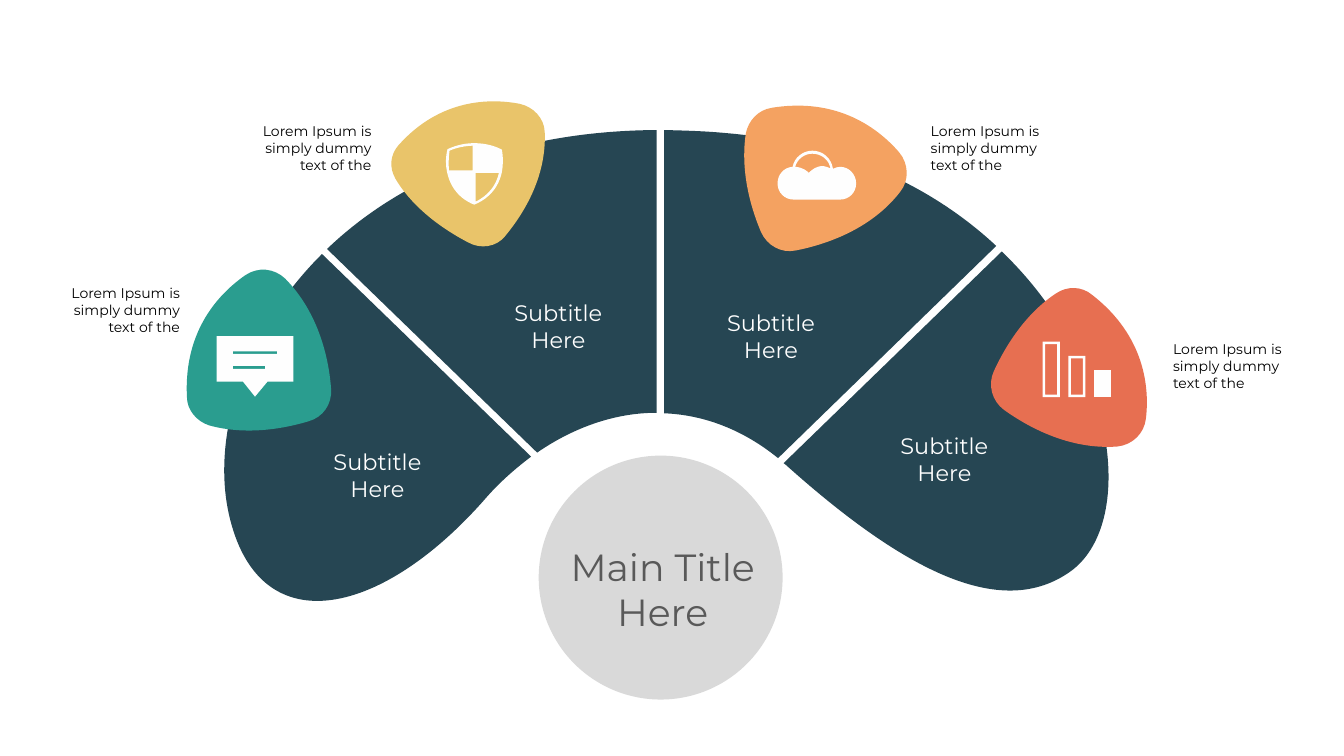
from dataclasses import dataclass

from lxml.etree import Element
from pptx import Presentation
from pptx.dml.color import RGBColor
from pptx.enum.shapes import MSO_SHAPE
from pptx.enum.text import MSO_AUTO_SIZE, PP_ALIGN
from pptx.oxml.ns import qn
from pptx.util import Inches, Pt


@dataclass(frozen=True)
class Theme:
    font: str = "Montserrat"
    fan: str = "264653"
    hub: str = "D9D9D9"
    icon: str = "FEFEFE"
    teal: str = "2A9D8F"
    yellow: str = "E9C46A"
    orange: str = "F4A261"
    red: str = "E76F51"
    title: str = "595959"
    subtitle: str = "FFFFFF"
    note: str = "000000"
    title_size: int = 54
    subtitle_size: int = 32
    note_size: int = 20


THEME = Theme()

MAIN_TITLE = "Main Title Here"
SUBTITLE = "Subtitle Here"
NOTE = "Lorem Ipsum is simply dummy text of the"
NOTES = [
    (0.89, 5.6, PP_ALIGN.RIGHT),
    (4.69, 2.39, PP_ALIGN.RIGHT),
    (18.37, 2.39, PP_ALIGN.LEFT),
    (23.18, 6.71, PP_ALIGN.LEFT),
]
SUBTITLES = [(6.14, 8.85), (9.73, 5.89), (13.95, 6.09), (17.39, 8.53)]

FAN = [
    [(13.18, 2.58), (13.57, 2.59, 13.98, 2.6, 14.4, 2.64),
     (16.76, 2.84, 18.54, 3.73, 19.77, 4.88), (15.44, 9.09),
     (14.74, 8.52, 13.96, 8.23, 13.18, 8.2)],
    [(13.03, 2.58), (10.04, 2.6, 7.89, 3.6, 6.49, 4.94), (10.66, 8.98),
     (11.4, 8.47, 12.22, 8.19, 13.03, 8.19)],
    [(6.39, 5.04), (4.78, 6.64, 4.21, 8.7, 4.54, 10.19),
     (5.11, 12.77, 7.51, 12.29, 9.6, 9.93), (9.89, 9.59, 10.21, 9.31, 10.54, 9.06)],
    [(19.88, 4.99), (15.55, 9.19), (15.59, 9.22),
     (18.08, 11.45, 19.93, 12.27, 21.24, 11.34),
     (22.54, 10.41, 22.22, 7.24, 19.88, 4.99)],
]

BADGES = [
    (THEME.teal, [
        (4.15, 8.44), (4.54, 8.55, 5.21, 8.63, 6.12, 8.36),
        (6.41, 8.28, 6.59, 8.02, 6.57, 7.72), (6.53, 7.15, 6.34, 6.22, 5.66, 5.53),
        (5.44, 5.32, 5.12, 5.29, 4.87, 5.46), (4.38, 5.8, 3.64, 6.53, 3.71, 7.88),
        (3.71, 8.13, 3.9, 8.36, 4.15, 8.44)]),
    (THEME.yellow, [
        (7.85, 3.55), (8.05, 3.89, 8.47, 4.38, 9.29, 4.81),
        (9.54, 4.95, 9.85, 4.9, 10.02, 4.69), (10.36, 4.28, 10.85, 3.54, 10.81, 2.62),
        (10.8, 2.35, 10.59, 2.12, 10.31, 2.06), (9.74, 1.95, 8.74, 1.95, 7.91, 2.88),
        (7.74, 3.07, 7.72, 3.33, 7.85, 3.55)]),
    (THEME.orange, [
        (14.8, 2.65), (14.74, 3.04, 14.73, 3.72, 15.1, 4.6),
        (15.22, 4.87, 15.5, 5.03, 15.79, 4.97), (16.35, 4.86, 17.27, 4.57, 17.86, 3.81),
        (18.05, 3.58, 18.03, 3.24, 17.84, 3.02), (17.45, 2.57, 16.64, 1.92, 15.31, 2.14),
        (15.05, 2.18, 14.85, 2.39, 14.8, 2.65)]),
    (THEME.red, [
        (20.96, 5.82), (20.62, 6.04, 20.12, 6.5, 19.72, 7.37),
        (19.6, 7.63, 19.68, 7.95, 19.92, 8.13), (20.38, 8.46, 21.21, 8.93, 22.17, 8.86),
        (22.47, 8.83, 22.71, 8.6, 22.74, 8.3), (22.81, 7.71, 22.73, 6.67, 21.67, 5.85),
        (21.47, 5.68, 21.18, 5.67, 20.96, 5.82)]),
]

SHIELD = [
    [(8.88, 2.96), (8.99, 2.91, 9.17, 2.84, 9.41, 2.84),
     (9.66, 2.84, 9.85, 2.91, 9.96, 2.97), (9.99, 3.15, 9.98, 3.3, 9.96, 3.41),
     (9.87, 3.84, 9.56, 4, 9.41, 4.06), (9.3, 4.02, 8.96, 3.86, 8.87, 3.41),
     (8.84, 3.27, 8.84, 3.12, 8.88, 2.96)],
    [(8.92, 2.99), (8.96, 2.97, 9.13, 2.9, 9.38, 2.89), (9.38, 3.38), (8.91, 3.38),
     (8.9, 3.27, 8.9, 3.14, 8.92, 2.99)],
    [(9.44, 4), (9.44, 3.43), (9.9, 3.43), (9.82, 3.8, 9.54, 3.95, 9.44, 4)],
]
CLOUD = [
    [(16.67, 3.31), (16.62, 3.31, 16.57, 3.33, 16.53, 3.35),
     (16.5, 3.14, 16.33, 2.99, 16.12, 2.99), (15.93, 2.99, 15.76, 3.13, 15.73, 3.31),
     (15.56, 3.32, 15.43, 3.46, 15.43, 3.64), (15.43, 3.82, 15.57, 3.96, 15.75, 3.96),
     (16.67, 3.96), (16.85, 3.96, 16.99, 3.82, 16.99, 3.64),
     (16.99, 3.46, 16.85, 3.31, 16.67, 3.31)],
    [(16.12, 3.05), (16.3, 3.05, 16.45, 3.17, 16.48, 3.34),
     (16.39, 3.3, 16.31, 3.28, 16.23, 3.31), (16.14, 3.34, 16.08, 3.4, 16.05, 3.43),
     (16.01, 3.39, 15.93, 3.32, 15.78, 3.31), (15.82, 3.16, 15.96, 3.05, 16.12, 3.05)],
]
BUBBLE = [(4.3, 6.67), (5.82, 6.67), (5.82, 7.57), (5.31, 7.57), (5.06, 7.87),
          (4.82, 7.57), (4.3, 7.57)]
BUBBLE_LINES = [(4.62, 6.97, 5.5, 7.02), (4.62, 7.26, 5.26, 7.32)]

BAR_LEFT, BAR_BOTTOM, BAR_WIDTH, BAR_PITCH = 20.69, 7.88, 0.34, 0.51
BAR_EDGE = 0.05
BARS = [(6.78, True), (7.06, True), (7.35, False)]


def box(left, top, right, bottom):
    return [(left, top), (right, top), (right, bottom), (left, bottom)]


def points_of(segment):
    return [(Inches(x), Inches(y)) for x, y in zip(segment[::2], segment[1::2])]


def paint(shape, color):
    shape.shadow.inherit = False
    shape.fill.solid()
    shape.fill.fore_color.rgb = RGBColor.from_string(color)
    shape.line.fill.background()


def bend(shape, contours):
    steps = iter(list(shape._element.iter(qn("a:lnTo"))))
    for contour in contours:
        for segment in contour[1:]:
            group = [next(steps) for _ in points_of(segment)]
            if len(group) == 1:
                continue
            curve = Element(qn("a:cubicBezTo"))
            group[0].addprevious(curve)
            for step in group:
                curve.append(step[0])
                step.getparent().remove(step)


def add_outline(slide, contours, color):
    builder = slide.shapes.build_freeform(*points_of(contours[0][0])[0], scale=1.0)
    for index, (start, *segments) in enumerate(contours):
        if index:
            builder.move_to(*points_of(start)[0])
        points = [point for segment in segments for point in points_of(segment)]
        builder.add_line_segments(points, close=True)
    shape = builder.convert_to_shape()
    bend(shape, contours)
    paint(shape, color)


def add_text(slide, text, *, left, top, width, height, size, color, align=PP_ALIGN.CENTER):
    frame = slide.shapes.add_textbox(*map(Inches, (left, top, width, height))).text_frame
    frame.word_wrap = True
    frame.auto_size = MSO_AUTO_SIZE.SHAPE_TO_FIT_TEXT
    paragraph = frame.paragraphs[0]
    paragraph.alignment = align
    run = paragraph.add_run()
    run.text = text
    run.font.name = THEME.font
    run.font.size = Pt(size)
    run.font.color.rgb = RGBColor.from_string(color)


def main():
    deck = Presentation()
    deck.slide_width, deck.slide_height = Inches(26.67), Inches(15)
    slide = deck.slides.add_slide(deck.slide_layouts[6])

    hub = slide.shapes.add_shape(MSO_SHAPE.OVAL, *map(Inches, (10.69, 9.04, 4.84, 4.84)))
    paint(hub, THEME.hub)
    add_outline(slide, FAN, THEME.fan)
    for color, badge in BADGES:
        add_outline(slide, [badge], color)

    bubble_lines = [box(*edges) for edges in BUBBLE_LINES]
    for icon in ([BUBBLE, *bubble_lines], SHIELD, CLOUD):
        add_outline(slide, icon, THEME.icon)
    for index, (top, hollow) in enumerate(BARS):
        left = BAR_LEFT + index * BAR_PITCH
        right = left + BAR_WIDTH
        bar = [box(left, top, right, BAR_BOTTOM)]
        if hollow:
            bar.append(box(left + BAR_EDGE, top + BAR_EDGE,
                           right - BAR_EDGE, BAR_BOTTOM - BAR_EDGE))
        add_outline(slide, bar, THEME.icon)

    add_text(slide, MAIN_TITLE, left=10.97, top=10.73, width=4.36, height=1.92,
             size=THEME.title_size, color=THEME.title)
    for left, top, align in NOTES:
        add_text(slide, NOTE, left=left, top=top, width=2.78, height=1.11,
                 size=THEME.note_size, color=THEME.note, align=align)
    for left, top in SUBTITLES:
        add_text(slide, SUBTITLE, left=left, top=top, width=2.7, height=1.18,
                 size=THEME.subtitle_size, color=THEME.subtitle)

    deck.save("out.pptx")


if __name__ == "__main__":
    main()
